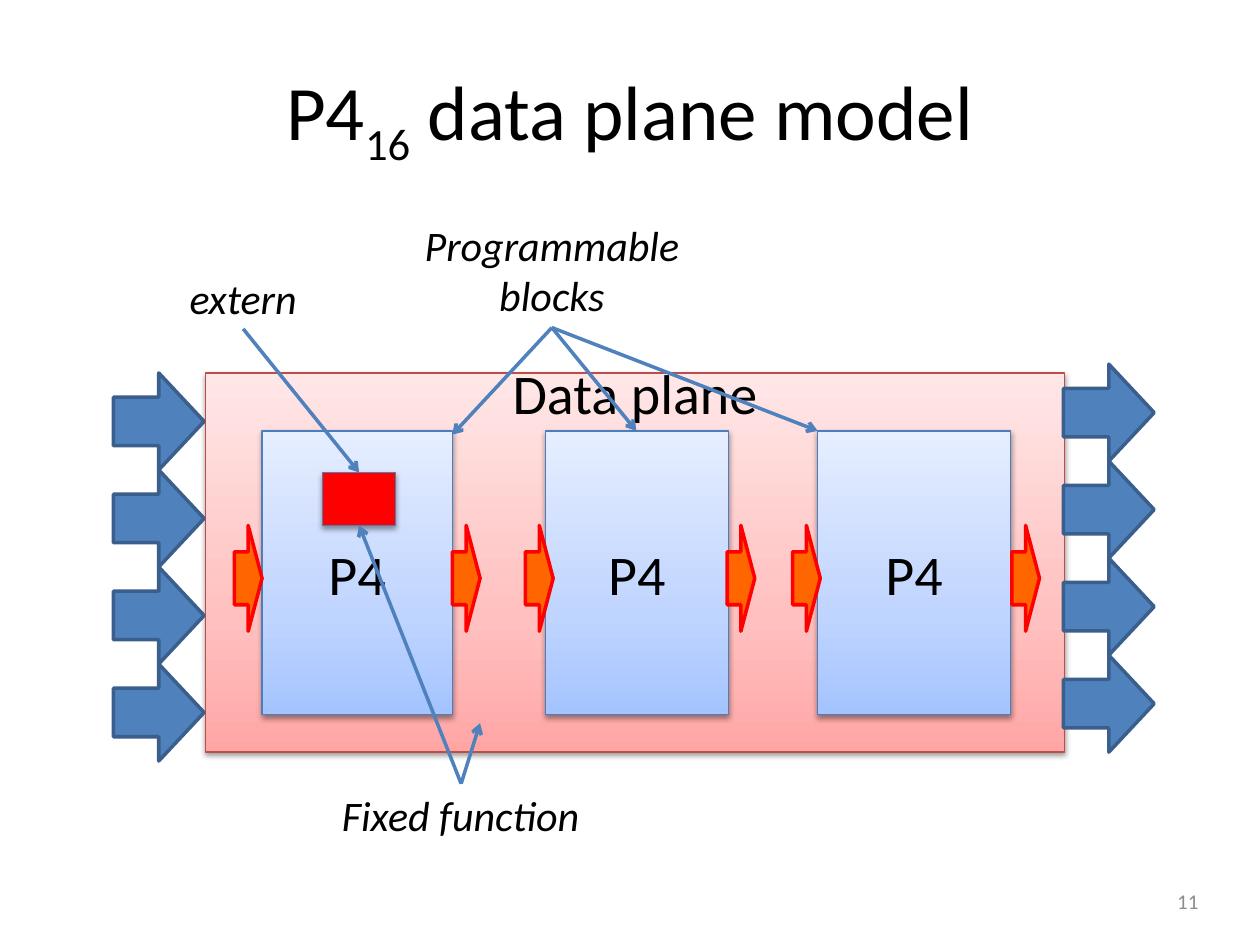
from copy import deepcopy

from lxml import etree
from pptx import Presentation
from pptx.dml.color import RGBColor
from pptx.enum.shapes import MSO_CONNECTOR, MSO_SHAPE
from pptx.enum.text import MSO_ANCHOR, PP_ALIGN
from pptx.oxml import parse_xml
from pptx.oxml.ns import nsdecls, qn
from pptx.util import Inches, Pt

RECTANGLE, RIGHT_ARROW = MSO_SHAPE.RECTANGLE, MSO_SHAPE.RIGHT_ARROW
CENTER, RIGHT = PP_ALIGN.CENTER, PP_ALIGN.RIGHT
TOP, MIDDLE = MSO_ANCHOR.TOP, MSO_ANCHOR.MIDDLE
FONT = "Calibri"
BLACK, GRAY, BLUE, DARK_BLUE = "000000", "8C8C8C", "4F81BD", "3A5F8C"
BLOCK_LINE, PLANE_LINE, RED, ORANGE = "4B7EBC", "BF4C48", "FF0000", "FF6600"
PINK_GRADIENT = ("FFA6A5", "FFC0BF", "FFE7E7")
BLUE_GRADIENT = ("A4C4FF", "BFD4FF", "E6EEFF")
GRADIENT_POSITIONS = (0, 0.35, 1)

TITLE = (("P4", 0), ("16", -25000), (" data plane model", 0))
DATA_PLANE = (1.63, 2.96, 6.82, 3.01)
PORT_SIZE = (0.72, 0.77)
PORT_COLUMNS = ((0.9, 2.96), (8.44, 2.89))  # left, top of the first port
PORTS_PER_COLUMN = 4
BLOCKS = ((2.08, 1.51), (4.33, 1.45), (6.49, 1.53))  # left, width
BLOCK_TOP, BLOCK_HEIGHT = 3.42, 2.25
FLOW_LEFTS = (1.86, 3.59, 4.17, 5.77, 6.29, 8.03)
FLOW_TOP, FLOW_WIDTH, FLOW_HEIGHT = 4.17, 0.22, 0.84
EXTERN = (2.56, 3.75, 0.58, 0.42)
# text, box, pointer start, pointer ends
CALLOUTS = (
    ("Programmable\vblocks", (3.22, 1.69, 2.32, 0.91), (4.38, 2.6),
     ((3.59, 3.45), (5.05, 3.42), (6.49, 3.42))),
    ("Fixed function", (2.56, 6.22, 2.19, 0.5), (3.66, 6.22),
     ((3.81, 5.74), (2.85, 4.17))),
    ("extern", (1.4, 2.11, 1.06, 0.5), (1.93, 2.61), ((2.85, 3.75),)),
)
PAGE_NUMBER = ("11", (8.57, 6.95, 1.04, 0.4))


def color(hex_string):
    return RGBColor.from_string(hex_string)


def inches(values):
    return [Inches(value) for value in values]


def format_text(shape, size, font_color=BLACK, align=CENTER, anchor=MIDDLE, italic=None):
    shape.text_frame.vertical_anchor = anchor
    for paragraph in shape.text_frame.paragraphs:
        paragraph.alignment = align
        for run in paragraph.runs:
            run.font.name = FONT
            run.font.size = Pt(size)
            run.font.italic = italic
            run.font.color.rgb = color(font_color)


def add_shape(slide, kind, box, fill, line, line_width):
    """Add a shape; fill is one colour, or a tuple of colours from bottom to top."""
    shape = slide.shapes.add_shape(kind, *inches(box))
    shape.shadow.inherit = False
    if isinstance(fill, tuple):
        shape.fill.gradient()
        shape.fill.gradient_angle = 90
        stop_list = shape._element.spPr.find(".//" + qn("a:gsLst"))
        stop_list.append(deepcopy(stop_list[0]))
        for stop, position, stop_color in zip(
                shape.fill.gradient_stops, GRADIENT_POSITIONS, fill):
            stop.position = position
            stop.color.rgb = color(stop_color)
    else:
        shape.fill.solid()
        shape.fill.fore_color.rgb = color(fill)
    shape.line.color.rgb = color(line)
    shape.line.width = Pt(line_width)
    return shape


def add_panel(slide, box, fill, line):
    """Add a thin-lined rectangle with a soft shadow below it."""
    panel = add_shape(slide, RECTANGLE, box, fill, line, 0.75)
    panel._element.spPr.find(qn("a:effectLst")).append(parse_xml(
        f'<a:outerShdw {nsdecls("a")} blurRad="{Pt(3.1)}" dist="{Pt(1.6)}" '
        'dir="5400000" rotWithShape="0"><a:srgbClr val="000000">'
        '<a:alpha val="38000"/></a:srgbClr></a:outerShdw>'))
    return panel


def add_pointer(slide, start, end):
    pointer = slide.shapes.add_connector(MSO_CONNECTOR.STRAIGHT, *inches(start + end))
    pointer.line.color.rgb = color(BLUE)
    pointer.line.width = Pt(2)
    line = pointer.line._get_or_add_ln()
    etree.SubElement(line, qn("a:tailEnd"), type="arrow")
    etree.SubElement(pointer._element.spPr, qn("a:effectLst"))


def add_title(slide):
    title = slide.shapes.title
    title.left, title.top, title.width, title.height = inches((0.5, 0.3, 9, 1.25))
    paragraph = title.text_frame.paragraphs[0]
    for text, baseline in TITLE:
        run = paragraph.add_run()
        run.text = text
        if baseline:
            run.font._element.set("baseline", str(baseline))
    format_text(title, 44)


def add_data_plane(slide):
    plane = add_panel(slide, DATA_PLANE, PINK_GRADIENT, PLANE_LINE)
    plane.text_frame.text = "Data plane"
    plane.text_frame.margin_top = 0
    plane.text_frame.paragraphs[0].line_spacing = 0.78
    format_text(plane, 32, anchor=TOP)

    width, height = PORT_SIZE
    for left, top in PORT_COLUMNS:
        for row in range(PORTS_PER_COLUMN):
            box = (left, top + row * height, width, height)
            add_shape(slide, RIGHT_ARROW, box, BLUE, DARK_BLUE, 2)

    for left, width in BLOCKS:
        block = add_panel(slide, (left, BLOCK_TOP, width, BLOCK_HEIGHT),
                          BLUE_GRADIENT, BLOCK_LINE)
        block.text_frame.text = "P4"
        format_text(block, 32)

    for left in FLOW_LEFTS:
        box = (left, FLOW_TOP, FLOW_WIDTH, FLOW_HEIGHT)
        add_shape(slide, RIGHT_ARROW, box, ORANGE, RED, 2)
    add_panel(slide, EXTERN, RED, BLOCK_LINE)


def add_callouts(slide):
    for text, box, start, ends in CALLOUTS:
        label = slide.shapes.add_textbox(*inches(box))
        label.text_frame.word_wrap = False
        label.text_frame.text = text
        format_text(label, 24, anchor=TOP, italic=True)
        for end in ends:
            add_pointer(slide, start, end)


def add_page_number(slide):
    text, box = PAGE_NUMBER
    number = slide.shapes.add_textbox(*inches(box))
    number.text_frame.word_wrap = True
    number.text_frame.text = text
    format_text(number, 12, GRAY, RIGHT)


def main():
    presentation = Presentation()
    presentation.slide_width, presentation.slide_height = inches((10, 7.5))
    slide = presentation.slides.add_slide(presentation.slide_layouts[5])
    add_title(slide)
    add_data_plane(slide)
    add_callouts(slide)
    add_page_number(slide)
    presentation.save("out.pptx")


if __name__ == "__main__":
    main()
